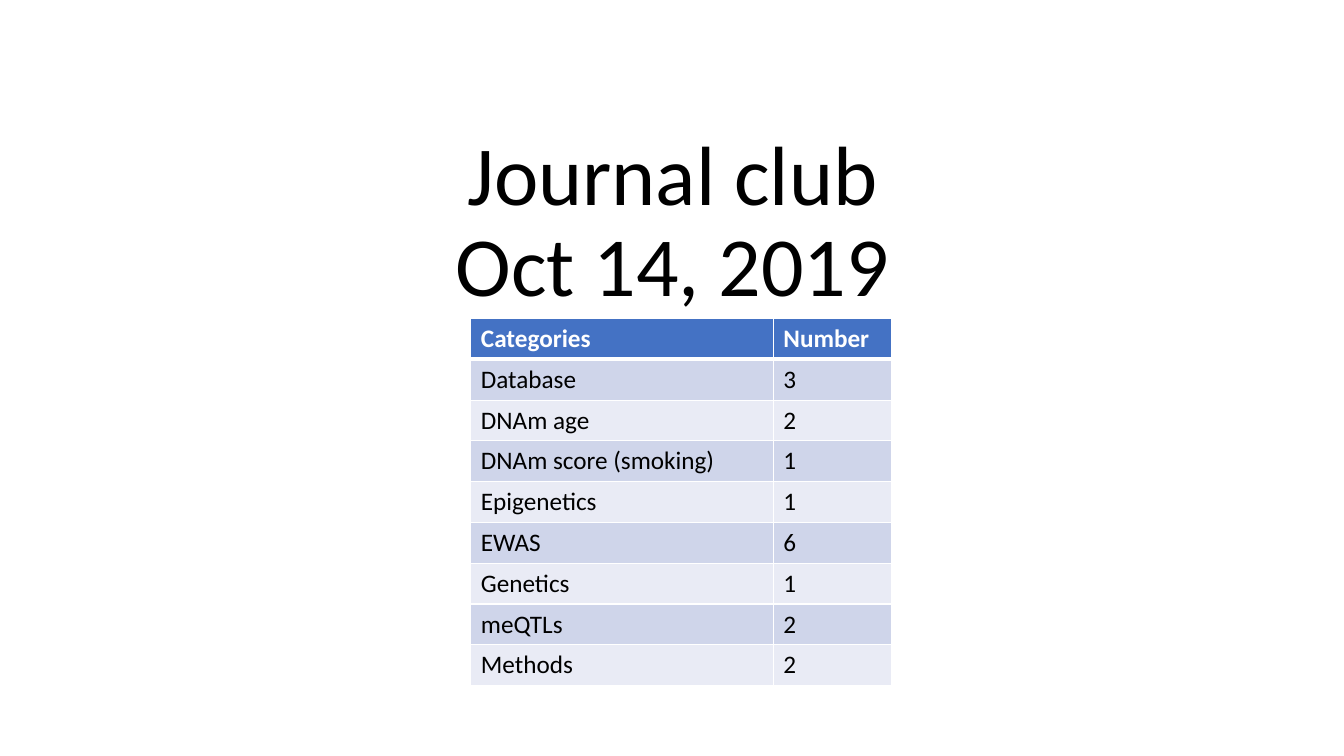
"""Build the journal club title slide with its table of paper categories."""
from lxml import etree
from pptx import Presentation
from pptx.dml.color import RGBColor
from pptx.enum.text import MSO_ANCHOR, PP_ALIGN
from pptx.oxml.ns import qn
from pptx.util import Inches, Pt

BOTTOM = MSO_ANCHOR.BOTTOM
CENTER = PP_ALIGN.CENTER
BLACK = RGBColor(0x00, 0x00, 0x00)
WHITE = RGBColor(0xFF, 0xFF, 0xFF)
HEADER_BLUE = RGBColor(0x44, 0x72, 0xC4)
BAND_DARK = RGBColor(0xCF, 0xD5, 0xEA)
BAND_LIGHT = RGBColor(0xE9, 0xEB, 0xF5)
FONT = "Calibri"
ROW_HEIGHT = 0.405
COLUMN_WIDTHS = (3, 1.17)
ROWS = [
    ("Categories", "Number"),
    ("Database", "3"),
    ("DNAm age", "2"),
    ("DNAm score (smoking)", "1"),
    ("Epigenetics", "1"),
    ("EWAS", "6"),
    ("Genetics", "1"),
    ("meQTLs", "2"),
    ("Methods", "2"),
]


def format_runs(paragraph, size, color, bold=False):
    for run in paragraph.runs:
        run.font.name = FONT
        run.font.size = Pt(size)
        run.font.color.rgb = color
        run.font.bold = bold


def add_border(cell, side, width):
    properties = cell._tc.get_or_add_tcPr()
    line = etree.SubElement(properties, qn(f"a:ln{side}"), w=str(Pt(width)))
    fill = etree.SubElement(line, qn("a:solidFill"))
    etree.SubElement(fill, qn("a:srgbClr"), val=str(WHITE))


presentation = Presentation()
presentation.slide_width = Inches(13.33)
presentation.slide_height = Inches(7.5)
slide = presentation.slides.add_slide(presentation.slide_layouts[6])

title = slide.shapes.add_textbox(Inches(1.67), Inches(0.56), Inches(10), Inches(2.61))
title_frame = title.text_frame
title_frame.word_wrap = True
title_frame.vertical_anchor = BOTTOM
title_frame.text = "Journal club\vOct 14, 2019"
title_paragraph = title_frame.paragraphs[0]
title_paragraph.alignment = CENTER
title_paragraph.line_spacing = 0.9
format_runs(title_paragraph, 60, BLACK)

table = slide.shapes.add_table(
    len(ROWS), len(COLUMN_WIDTHS), Inches(4.67), Inches(3.16),
    Inches(sum(COLUMN_WIDTHS)), Inches(ROW_HEIGHT * len(ROWS)),
).table
for column, width in zip(table.columns, COLUMN_WIDTHS):
    column.width = Inches(width)

for row_index, values in enumerate(ROWS):
    table.rows[row_index].height = Inches(ROW_HEIGHT)
    is_header = row_index == 0
    if is_header:
        fill_color = HEADER_BLUE
    else:
        fill_color = BAND_DARK if row_index % 2 else BAND_LIGHT
    top_width = 3 if row_index == 1 else 1
    bottom_width = 3 if is_header else 1
    for column_index, value in enumerate(values):
        cell = table.cell(row_index, column_index)
        cell.text_frame.text = value
        format_runs(cell.text_frame.paragraphs[0], 18, WHITE if is_header else BLACK, is_header)
        for side, width in zip("LRTB", (1, 1, top_width, bottom_width)):
            add_border(cell, side, width)
        cell.fill.solid()
        cell.fill.fore_color.rgb = fill_color

presentation.save("out.pptx")
